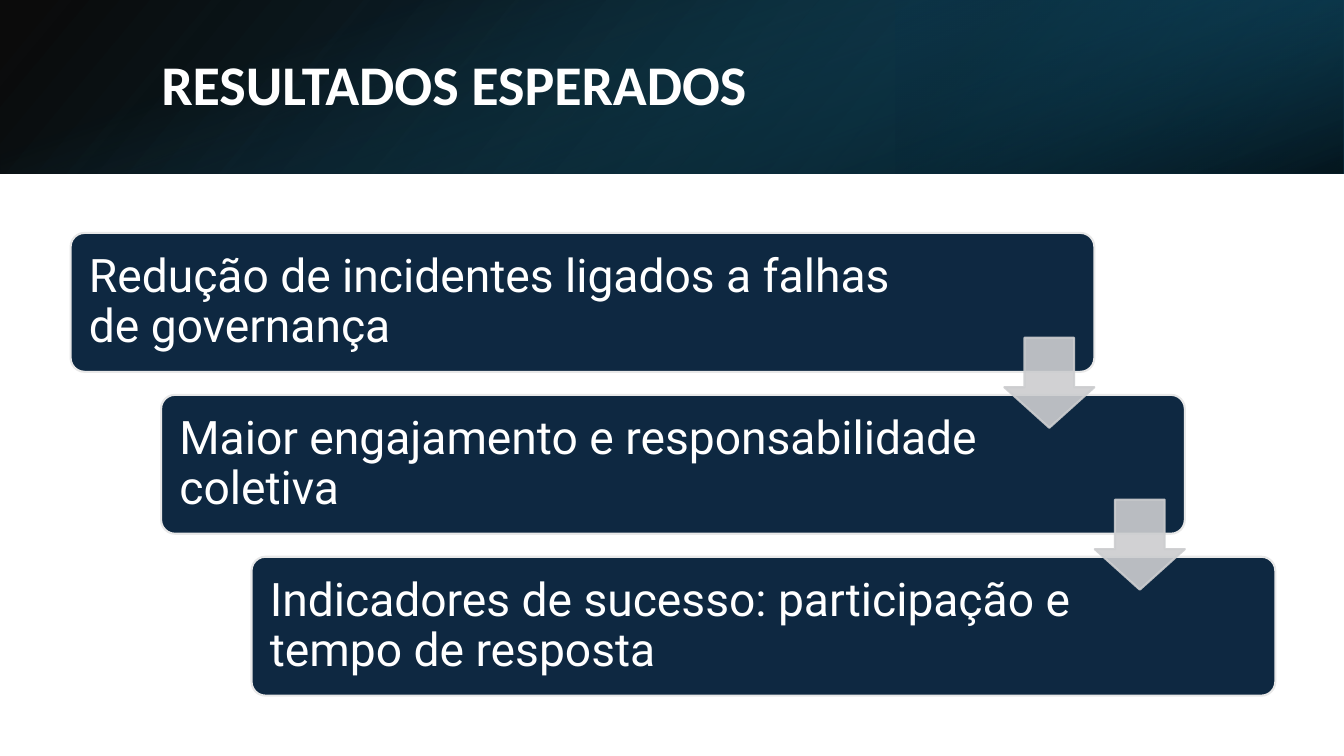
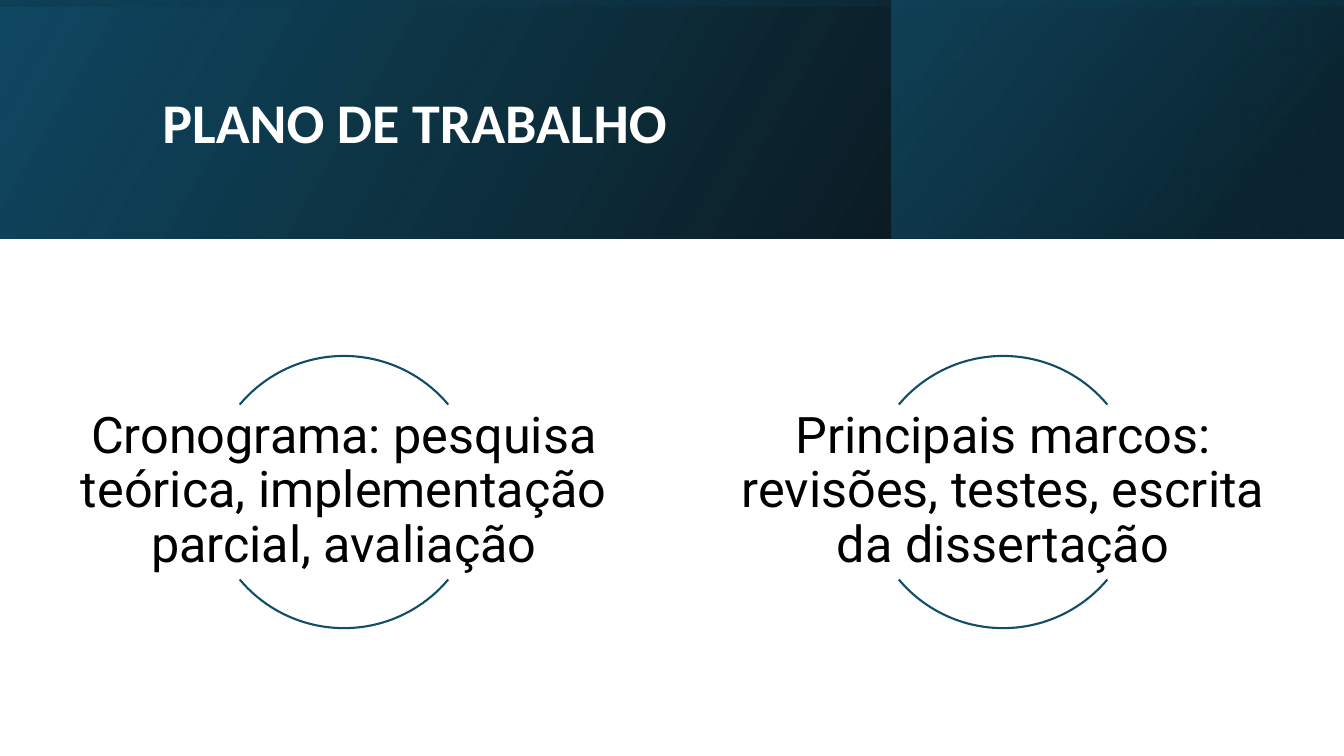
from dataclasses import dataclass
from typing import Any

from lxml.etree import SubElement
from pptx import Presentation
from pptx.dml.color import RGBColor
from pptx.enum.shapes import MSO_SHAPE
from pptx.enum.text import MSO_ANCHOR, PP_ALIGN
from pptx.oxml.ns import qn
from pptx.util import Cm, Pt

COLORS = {
    "white": "FFFFFF",
    "black": "000000",
    "navy": "0E2841",
    "deep": "0B3041",
    "petrol": "104862",
    "teal": "156082",
    "arc": "114D68",
    "border": "E8E8E8",
    "arrow": "CCCDCF",
}
SLIDE_WIDTH = 33.87
SLIDE_HEIGHT = 19.05
TITLE_FONT = {"name": "Calibri", "size": Pt(40), "bold": True}
STEP_FONT = {"name": "Roboto", "size": Pt(33)}
TOPIC_FONT = {"name": "Roboto", "size": Pt(36)}


@dataclass(frozen=True)
class Box:
    left: float
    top: float
    width: float
    height: float

    def lengths(self) -> tuple:
        return Cm(self.left), Cm(self.top), Cm(self.width), Cm(self.height)


@dataclass(frozen=True)
class Stop:
    position: int
    color: str
    opacity: int = 100


@dataclass(frozen=True)
class Band:
    left: float
    stops: tuple[Stop, Stop]
    angle: int
    rotation: int = 0
    flipped: bool = True

    def box(self, height: float) -> Box:
        width = SLIDE_WIDTH - self.left
        if self.rotation % 180 == 0:
            return Box(self.left, 0, width, height)
        return Box(self.left + (width - height) / 2, (height - width) / 2, height, width)


@dataclass(frozen=True)
class Header:
    title: str
    title_box: Box
    height: float
    bands: tuple[Band, ...]


RESULTS_HEADER = Header(
    "RESULTADOS ESPERADOS",
    Box(3.81, 0.97, 27.89, 2.44),
    4.37,
    (
        Band(0, (Stop(0, "black", 96), Stop(100, "petrol")), 140),
        Band(22.58, (Stop(19, "deep", 68), Stop(100, "teal", 79)), 320, 180),
        Band(0, (Stop(23, "teal", 0), Stop(99, "black", 74)), 340, 90, False),
    ),
)
PLAN_HEADER = Header(
    "PLANO DE TRABALHO",
    Box(3.84, 0.97, 27, 4.37),
    6.02,
    (
        Band(0, (Stop(0, "black", 96), Stop(100, "petrol")), 330),
        Band(22.46, (Stop(19, "deep", 68), Stop(100, "teal", 48)), 320),
        Band(0, (Stop(23, "petrol", 16), Stop(99, "black", 45)), 350, 270),
    ),
)
STEPS = (
    "Redução de incidentes ligados a falhas de governança",
    "Maior engajamento e responsabilidade coletiva",
    "Indicadores de sucesso: participação e tempo de resposta",
)
TOPICS = (
    "Cronograma: pesquisa teórica, implementação parcial, avaliação",
    "Principais marcos: revisões, testes, escrita da dissertação",
)


def apply_format(target: Any, values: dict[str, Any]) -> None:
    for name, value in values.items():
        setattr(target, name, value)


def rgb(color: str) -> RGBColor:
    return RGBColor.from_string(COLORS[color])


def write_text(shape: Any, text: str, font: dict[str, Any], color: str,
               alignment: PP_ALIGN, margins: dict[str, Any]) -> None:
    frame = shape.text_frame
    apply_format(frame, {"word_wrap": True, "vertical_anchor": MSO_ANCHOR.MIDDLE, **margins})
    paragraph = frame.paragraphs[0]
    apply_format(paragraph, {"alignment": alignment, "line_spacing": 0.9})
    run = paragraph.add_run()
    run.text = text
    apply_format(run.font, font)
    run.font.color.rgb = rgb(color)


def add_plain_shape(slide: Any, kind: MSO_SHAPE, box: Box, fill: str | None = None,
                    line: str | None = None, adjustments: tuple[float, ...] = (),
                    opacity: int = 100) -> Any:
    shape = slide.shapes.add_shape(kind, *box.lengths())
    shape.shadow.inherit = False
    for index, value in enumerate(adjustments):
        shape.adjustments[index] = value
    if fill:
        shape.fill.solid()
        shape.fill.fore_color.rgb = rgb(fill)
    else:
        shape.fill.background()
    if line:
        shape.line.color.rgb = rgb(line)
        shape.line.width = Pt(1.5)
    else:
        shape.line.fill.background()
    if opacity < 100:
        for color in shape.element.spPr.iter(qn("a:srgbClr")):
            SubElement(color, qn("a:alpha"), val=str(opacity * 1000))
    return shape


def add_band(slide: Any, band: Band, height: float) -> None:
    shape = add_plain_shape(slide, MSO_SHAPE.RECTANGLE, band.box(height))
    shape.rotation = band.rotation
    shape.fill.gradient()
    properties = shape.element.spPr
    if band.flipped:
        properties.get_or_add_xfrm().set("flipH", "1")
    gradient = properties.find(qn("a:gradFill"))
    for child in list(gradient):
        gradient.remove(child)
    gradient.set("rotWithShape", "1")
    stops = SubElement(gradient, qn("a:gsLst"))
    for stop in band.stops:
        entry = SubElement(stops, qn("a:gs"), pos=str(stop.position * 1000))
        color = SubElement(entry, qn("a:srgbClr"), val=COLORS[stop.color])
        SubElement(color, qn("a:alpha"), val=str(stop.opacity * 1000))
    SubElement(gradient, qn("a:lin"), ang=str(band.angle * 60000), scaled="0")


def add_titled_slide(presentation: Any, header: Header) -> Any:
    slide = presentation.slides.add_slide(presentation.slide_layouts[5])
    for band in header.bands:
        add_band(slide, band, header.height)
    title = slide.shapes.title
    apply_format(title, dict(zip(("left", "top", "width", "height"), header.title_box.lengths())))
    write_text(title, header.title, TITLE_FONT, "white", PP_ALIGN.LEFT, {})
    title.element.getparent().append(title.element)
    return slide


def add_results_slide(presentation: Any) -> None:
    slide = add_titled_slide(presentation, RESULTS_HEADER)
    boxes = [Box(1.78 + 2.28 * index, 5.87 + 4.08 * index, 25.8, 3.5)
             for index in range(len(STEPS))]
    margins = {"margin_left": Cm(0.36), "margin_right": Cm(4),
               "margin_top": Cm(0.36), "margin_bottom": Cm(0.36)}
    for box, text in zip(boxes, STEPS):
        shape = add_plain_shape(slide, MSO_SHAPE.ROUNDED_RECTANGLE, box, "navy", "border", (0.1,))
        write_text(shape, text, STEP_FONT, "white", PP_ALIGN.LEFT, margins)
    size = 2.27
    for box in boxes[:-1]:
        arrow_box = Box(box.left + box.width - size, box.top + 2.64, size, size)
        add_plain_shape(slide, MSO_SHAPE.DOWN_ARROW, arrow_box, "arrow", "arrow", (0.55, 0.45), 90)


def add_plan_slide(presentation: Any) -> None:
    slide = add_titled_slide(presentation, PLAN_HEADER)
    sides = ("margin_left", "margin_right", "margin_top", "margin_bottom")
    margins = dict.fromkeys(sides, Cm(0.08))
    diameter = 6.86
    for index, text in enumerate(TOPICS):
        text_box = Box(1.8 + 16.61 * index, 10.19, 13.74, 4.39)
        circle = Box(text_box.left + (text_box.width - diameter) / 2, 8.97, diameter, diameter)
        for angles in ((132, 192), (24, 84)):
            add_plain_shape(slide, MSO_SHAPE.ARC, circle, line="arc", adjustments=angles)
        shape = slide.shapes.add_textbox(*text_box.lengths())
        write_text(shape, text, TOPIC_FONT, "black", PP_ALIGN.CENTER, margins)


def main() -> None:
    presentation = Presentation()
    presentation.slide_width = Cm(SLIDE_WIDTH)
    presentation.slide_height = Cm(SLIDE_HEIGHT)
    add_results_slide(presentation)
    add_plan_slide(presentation)
    presentation.save("out.pptx")


if __name__ == "__main__":
    main()
